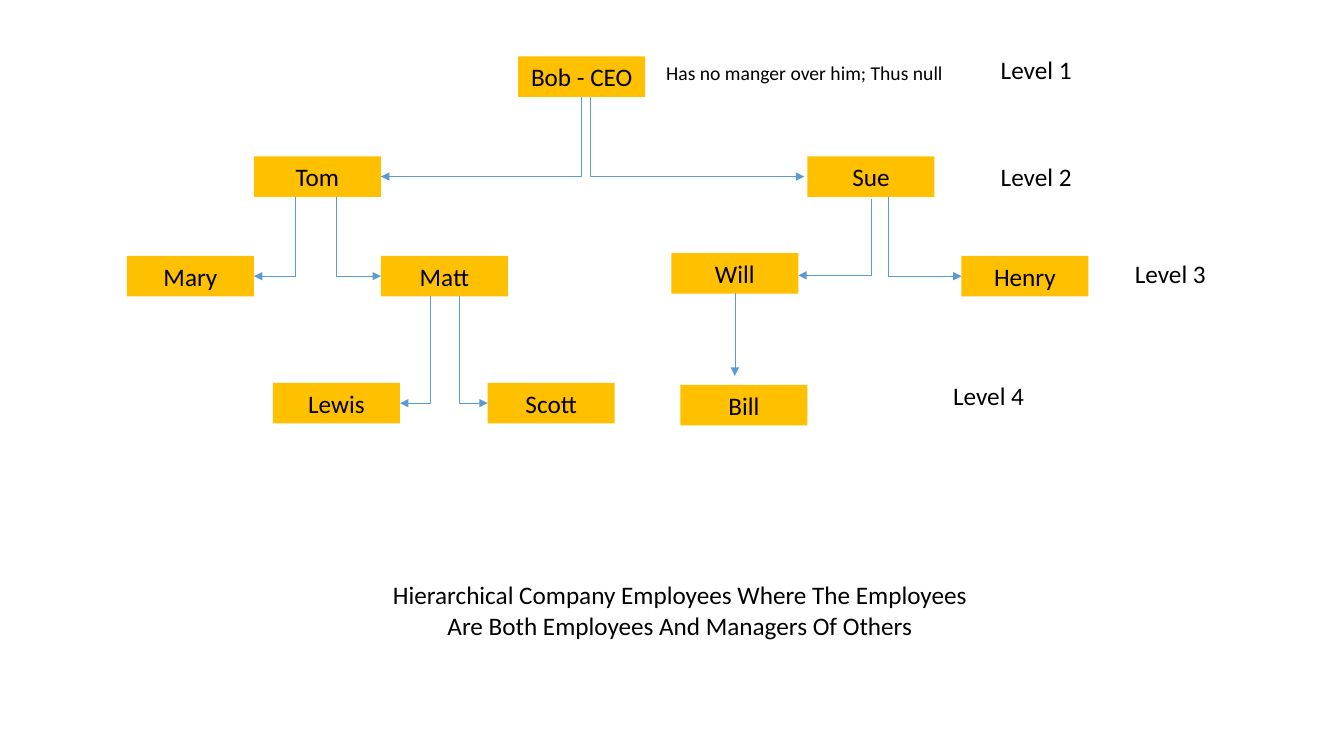
import lxml.etree
import pptx
import pptx.dml.color
import pptx.enum.shapes
import pptx.enum.text
import pptx.oxml.ns
import pptx.util
from dataclasses import dataclass

Cm = pptx.util.Cm
Kind = pptx.enum.shapes.MSO_CONNECTOR
Align = pptx.enum.text.PP_ALIGN
qn = pptx.oxml.ns.qn


@dataclass(frozen=True)
class Theme:
    font: str = "Calibri"
    ink: str = "000000"
    fill: str = "FFC000"
    line: str = "5B9BD5"
    body: int = 18
    note: int = 14
    rule: float = 0.5


THEME = Theme()
BOX_W, BOX_H = 3.2, 1.02

# Staff: name, left and top in cm
STAFF = {
    "Bob - CEO": (13.06, 1.42),
    "Tom": (6.4, 3.94),
    "Sue": (20.35, 3.94),
    "Mary": (3.2, 6.45),
    "Matt": (9.6, 6.45),
    "Will": (16.92, 6.38),
    "Henry": (24.23, 6.45),
    "Lewis": (6.88, 9.65),
    "Scott": (12.29, 9.65),
    "Bill": (17.15, 9.7),
}

# Links: boss, report, x of the drop, gap before the report, shift down
LINKS = [
    ("Bob - CEO", "Tom", 14.66, 0, 0),
    ("Bob - CEO", "Sue", 14.88, 0.08, 0),
    ("Tom", "Mary", 7.44, 0, 0),
    ("Tom", "Matt", 8.48, 0, 0),
    ("Sue", "Will", 21.95, 0, 0.05),
    ("Sue", "Henry", 22.38, 0, 0),
    ("Matt", "Lewis", 10.85, 0, 0),
    ("Matt", "Scott", 11.58, 0, 0),
]

LEVELS = [
    ("Level 1", 24.97, 1.24),
    ("Level 2", 24.97, 3.94),
    ("Level 3", 28.35, 6.38),
    ("Level 4", 23.77, 9.47),
]


def color(code):
    return pptx.dml.color.RGBColor.from_string(code)


def write(shape, text, size=THEME.body, align=Align.LEFT):
    frame = shape.text_frame
    frame.word_wrap = True
    frame.vertical_anchor = pptx.enum.text.MSO_ANCHOR.TOP
    para = frame.paragraphs[0]
    para.alignment = align
    run = para.add_run()
    run.text = text
    run.font.name = THEME.font
    run.font.size = pptx.util.Pt(size)
    run.font.color.rgb = color(THEME.ink)


def label(slide, text, left, top, width, height, **form):
    box = slide.shapes.add_textbox(Cm(left), Cm(top), Cm(width), Cm(height))
    write(box, text, **form)


def person(slide, name, left, top):
    box = slide.shapes.add_shape(
        pptx.enum.shapes.MSO_SHAPE.RECTANGLE,
        Cm(left), Cm(top), Cm(BOX_W), Cm(BOX_H))
    box.shadow.inherit = False
    box.fill.solid()
    box.fill.fore_color.rgb = color(THEME.fill)
    box.line.fill.background()
    write(box, name, align=Align.CENTER)


def arrow(slide, kind, x1, y1, x2, y2):
    line = slide.shapes.add_connector(kind, Cm(x1), Cm(y1), Cm(x2), Cm(y2))
    line.line.color.rgb = color(THEME.line)
    line.line.width = pptx.util.Pt(THEME.rule)
    props = line._element.spPr
    stroke = props.find(qn("a:ln"))
    lxml.etree.SubElement(stroke, qn("a:tailEnd"), type="triangle")
    lxml.etree.SubElement(props, qn("a:effectLst"))
    return props


def link(slide, boss, mate, x, gap, shift):
    """Drop from the boss, then turn to the near side of the report."""
    left, top = STAFF[mate]
    right = x < left
    end = left - gap if right else left + BOX_W + gap
    y1 = STAFF[boss][1] + BOX_H + shift
    y2 = top + BOX_H / 2 + shift
    # The elbow runs across first, so it is laid flat and then turned
    mid_x, mid_y = (x + end) / 2, (y1 + y2) / 2
    half_w, half_h = (y2 - y1) / 2, abs(end - x) / 2
    side = 1 if right else -1
    props = arrow(slide, Kind.ELBOW,
                  mid_x + side * half_w, mid_y - half_h,
                  mid_x - side * half_w, mid_y + half_h)
    props.find(qn("a:prstGeom")).set("prst", "bentConnector2")
    turn = 270 if right else 90
    props.find(qn("a:xfrm")).set("rot", str(turn * 60000))


def main():
    deck = pptx.Presentation()
    deck.slide_width, deck.slide_height = Cm(33.87), Cm(19.05)
    slide = deck.slides.add_slide(deck.slide_layouts[6])

    # Staff boxes
    for name, (left, top) in STAFF.items():
        person(slide, name, left, top)

    # Reporting lines
    for item in LINKS:
        link(slide, *item)
    arrow(slide, Kind.STRAIGHT, 18.52, 7.39, 18.52, 9.47)

    # Level labels, note and caption
    for text, left, top in LEVELS:
        label(slide, text, left, top, 3.94, BOX_H)
    label(slide, "Has no manger over him; Thus null",
          16.54, 1.42, 8.92, 0.86, size=THEME.note)
    label(slide, "Hierarchical Company Employees Where The Employees "
          "Are Both Employees And Managers Of Others",
          9.5, 14.48, 15.27, 1.8, align=Align.CENTER)

    deck.save("out.pptx")


main()
